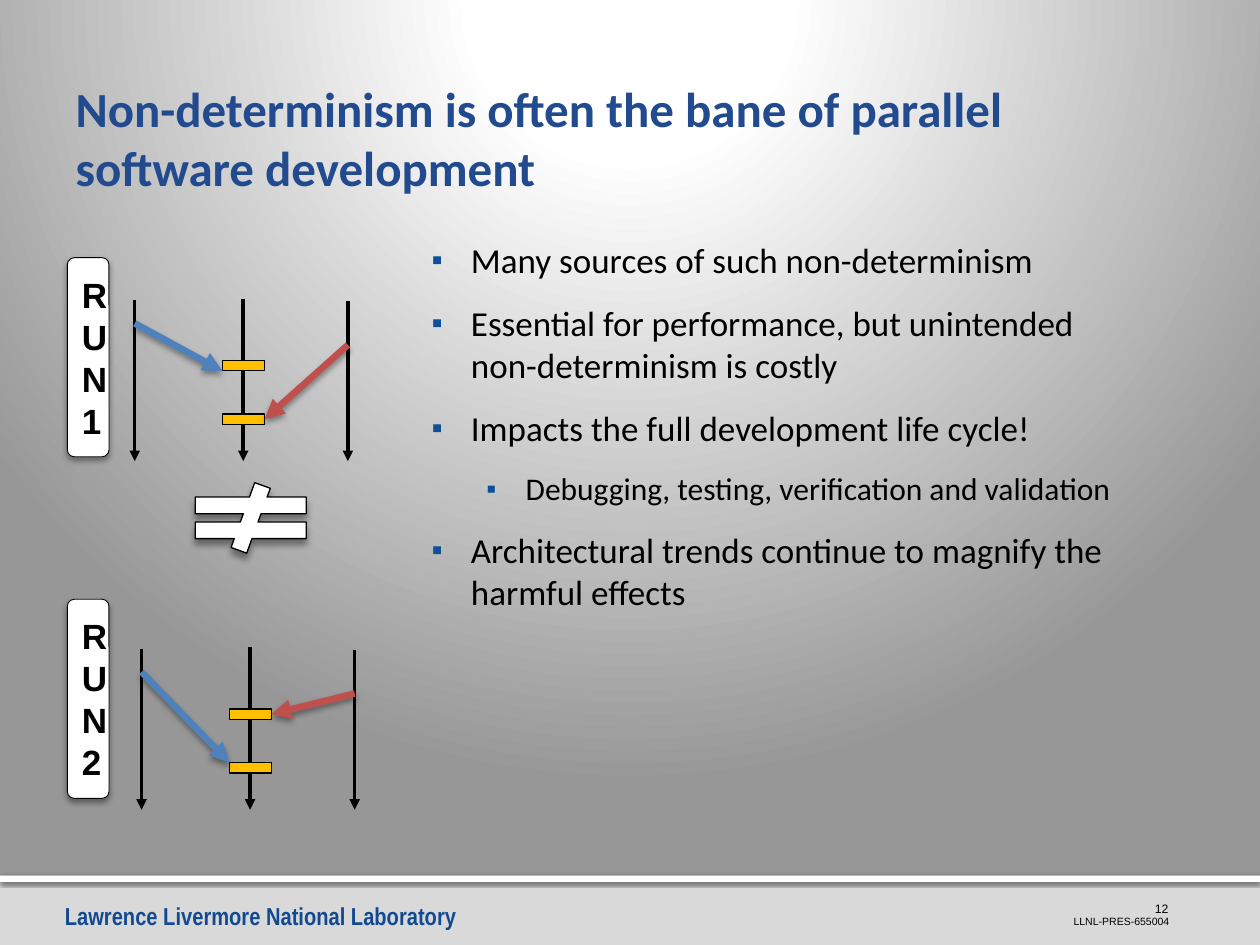
from lxml.etree import SubElement
from pptx import Presentation
from pptx.dml.color import RGBColor
from pptx.enum.shapes import MSO_CONNECTOR, MSO_SHAPE
from pptx.enum.text import MSO_ANCHOR, MSO_AUTO_SIZE, PP_ALIGN
from pptx.oxml import parse_xml
from pptx.oxml.ns import nsdecls, qn
from pptx.util import Pt

BLACK = RGBColor(0x00, 0x00, 0x00)
WHITE = RGBColor(0xFF, 0xFF, 0xFF)
FOOTER_GREY = RGBColor(0xD9, 0xD9, 0xD9)
FOOTER_BLUE = RGBColor(0x12, 0x4A, 0x91)
TITLE_BLUE = RGBColor(0x21, 0x4A, 0x8F)
BULLET_BLUE = RGBColor(0x0D, 0x50, 0x97)
MESSAGE_BLUE = RGBColor(0x4F, 0x81, 0xBD)
MESSAGE_RED = RGBColor(0xC0, 0x50, 0x4D)
EVENT_GOLD = RGBColor(0xFF, 0xC0, 0x00)

SOFT_SHADOW = (38, 3.5, 2)  # opacity in percent, blur, distance
BACKGROUND_STOPS = ((0, WHITE), (20, WHITE), (100, RGBColor(0x97, 0x97, 0x97)))

BULLETS = (
    (0, "Many sources of such non-determinism"),
    (0, "Essential for performance, but unintended\nnon-determinism is costly"),
    (0, "Impacts the full development life cycle!"),
    (1, "Debugging, testing, verification and validation"),
    (0, "Architectural trends continue to magnify the harmful effects"),
)


class Painter:
    def __init__(self, page):
        self.page = page
        self.body_font = "Calibri"
        self.label_font = "Arial"

    def background(self, stops):
        self.page.background.fill.gradient()
        gradient = self.page.element.find(".//" + qn("a:gradFill"))
        stop_xml = "".join(
            f'<a:gs pos="{position * 1000}"><a:srgbClr val="{color}"/></a:gs>'
            for position, color in stops
        )
        gradient.getparent().replace(gradient, parse_xml(
            f'<a:gradFill {nsdecls("a")} rotWithShape="1"><a:gsLst>{stop_xml}</a:gsLst>'
            '<a:path path="circle"><a:fillToRect l="10000" t="-25000" r="10000" b="125000"/>'
            "</a:path></a:gradFill>"
        ))

    def effects(self, item, shadow):
        """Give the item the shadow, or an empty effect list without one."""
        effect_list = SubElement(item.element.spPr, qn("a:effectLst"))
        if shadow:
            opacity, blur, distance = shadow
            outer = SubElement(
                effect_list, qn("a:outerShdw"), blurRad=str(Pt(blur)),
                dist=str(Pt(distance)), dir="5400000", rotWithShape="0",
            )
            color = SubElement(outer, qn("a:srgbClr"), val=str(BLACK))
            SubElement(color, qn("a:alpha"), val=str(opacity * 1000))

    def shape(self, kind, left, top, width, height, fill, line=None, shadow=None):
        shape = self.page.shapes.add_shape(kind, Pt(left), Pt(top), Pt(width), Pt(height))
        shape.fill.solid()
        shape.fill.fore_color.rgb = fill
        if line:
            shape.line.color.rgb = BLACK
            shape.line.width = Pt(line)
        else:
            shape.line.fill.background()
        self.effects(shape, shadow)
        return shape

    def arrow(self, start, end, color, width, shadow=None, target=None, side=None):
        arrow = self.page.shapes.add_connector(
            MSO_CONNECTOR.STRAIGHT, *(Pt(value) for value in (*start, *end))
        )
        if target is not None:
            arrow.end_connect(target, side)
        arrow.line.color.rgb = color
        arrow.line.width = Pt(width)
        SubElement(arrow.get_or_add_ln(), qn("a:tailEnd"), type="triangle")
        self.effects(arrow, shadow)

    def span(self, para, text, size, color, font, bold=False):
        span = para.add_run()
        span.text = text
        span.font.size = Pt(size)
        span.font.color.rgb = color
        span.font.name = font
        span.font.bold = bold
        return span

    def text(self, left, top, width, height, text, size, color, font,
             bold=False, align=PP_ALIGN.LEFT, wrap=True):
        box = self.page.shapes.add_textbox(Pt(left), Pt(top), Pt(width), Pt(height))
        box.text_frame.word_wrap = wrap
        para = box.text_frame.paragraphs[0]
        para.alignment = align
        self.span(para, text, size, color, font, bold)
        return box.text_frame

    def placeholder(self, box, left, top, width, height, margins):
        box.left, box.top, box.width, box.height = map(Pt, (left, top, width, height))
        frame = box.text_frame
        frame.auto_size = MSO_AUTO_SIZE.NONE
        frame.word_wrap = True
        (frame.margin_left, frame.margin_top,
         frame.margin_right, frame.margin_bottom) = map(Pt, margins)
        return frame

    def title(self, text):
        frame = self.placeholder(self.page.shapes.title, 36, 17.3, 648, 98.6,
                                 (7.2, 3.6, 3.6, 3.6))
        frame.vertical_anchor = MSO_ANCHOR.BOTTOM
        para = frame.paragraphs[0]
        para.alignment = PP_ALIGN.LEFT
        self.span(para, text, 28, TITLE_BLUE, self.body_font, True)

    def bullets(self, items):
        frame = self.placeholder(self.page.placeholders[1], 233.3, 128.9, 449.3, 282.2,
                                 (4.3, 7.2, 7.2, 3.6))
        for index, (level, text) in enumerate(items):
            para = frame.add_paragraph() if index else frame.paragraphs[0]
            para.level = level
            para.space_before = Pt(6 if index else 0)
            para.space_after = Pt(6)
            self.bullet(para, 31.5 + 31.3 * level, -22.5)
            for number, part in enumerate(text.split("\n")):
                if number:
                    para.add_line_break()
                self.span(para, part, 20 - 2 * level, BLACK, self.body_font)

    def bullet(self, para, margin, indent):
        properties = para._p.get_or_add_pPr()
        properties.set("marL", str(Pt(margin)))
        properties.set("indent", str(Pt(indent)))
        color = SubElement(properties, qn("a:buClr"))
        SubElement(color, qn("a:srgbClr"), val=str(BULLET_BLUE))
        SubElement(properties, qn("a:buSzPct"), val="90000")
        SubElement(properties, qn("a:buFont"), typeface=self.label_font)
        SubElement(properties, qn("a:buChar"), char="▪")

    def run_label(self, top, text):
        """Draw a tall tag whose letters stand one above the other."""
        tag = self.shape(MSO_SHAPE.ROUNDED_RECTANGLE, -6.5, top, 113.8, 23.8,
                         WHITE, 0.5, SOFT_SHADOW)
        tag.rotation = 270
        frame = tag.text_frame
        frame.word_wrap = True
        frame.vertical_anchor = MSO_ANCHOR.MIDDLE
        frame._txBody.bodyPr.set("vert", "vert")
        para = frame.paragraphs[0]
        para.alignment = PP_ALIGN.LEFT
        span = self.span(para, text, 20, BLACK, self.label_font, True)
        span.font._element.set("spc", "-150")

    def message_run(self, left, top, blue_end, red_event):
        """Draw three process timelines, two receive events and two messages."""
        for x, y in ((0, 0.8), (62, 0), (121.8, 1.4)):
            self.arrow((left + x, top + y), (left + x, top + 92.9), BLACK, 2)
        events = [
            self.shape(MSO_SHAPE.RECTANGLE, left + 50.2, top + y, 24, 6, EVENT_GOLD, 0.75)
            for y in (35.3, 66)
        ]
        self.arrow((left, top + 14.2), (left + 50.2, top + blue_end),
                   MESSAGE_BLUE, 3.78, SOFT_SHADOW)
        target = events[red_event]
        self.arrow((left + 121.8, top + 26.5), (left + 74.2, top + 38.3),
                   MESSAGE_RED, 3.78, SOFT_SHADOW, target, 3)


def main():
    deck = Presentation()
    deck.slide_width, deck.slide_height = Pt(720), Pt(540)
    page = deck.slides.add_slide(deck.slide_layouts[1])
    painter = Painter(page)
    painter.background(BACKGROUND_STOPS)

    painter.shape(MSO_SHAPE.RECTANGLE, 0, 500.4, 720, 39.6, FOOTER_GREY, shadow=(38, 3.1, 2))
    painter.shape(MSO_SHAPE.RECTANGLE, 0, 500.4, 720, 3.6, WHITE, shadow=(60, 2.5, 0.8))
    painter.text(30, 511.2, 240.5, 24.5, "Lawrence Livermore National Laboratory",
                 14, FOOTER_BLUE, "Arial Narrow", True)
    release = painter.text(612.7, 519.1, 62.6, 10.8, "LLNL-PRES-655004", 6, BLACK,
                           "Arial", align=PP_ALIGN.RIGHT, wrap=False)
    release.vertical_anchor = MSO_ANCHOR.BOTTOM
    release.margin_left = release.margin_bottom = 0
    painter.text(646.6, 511.2, 28.1, 12.2, "12", 7, BLACK, "Arial", align=PP_ALIGN.RIGHT)

    painter.title("Non-determinism is often the bane of parallel software development")
    painter.bullets(BULLETS)

    painter.message_run(77, 170.6, blue_end=41.5, red_event=1)
    painter.run_label(192.2, "RUN1")
    painter.shape(MSO_SHAPE.MATH_NOT_EQUAL, 100.1, 275.8, 86.4, 40.3, WHITE, 0.75, (40, 4, 3))
    painter.message_run(80.9, 369.8, blue_end=66, red_event=0)
    painter.run_label(387.4, "RUN2")

    deck.save("out.pptx")


if __name__ == "__main__":
    main()
